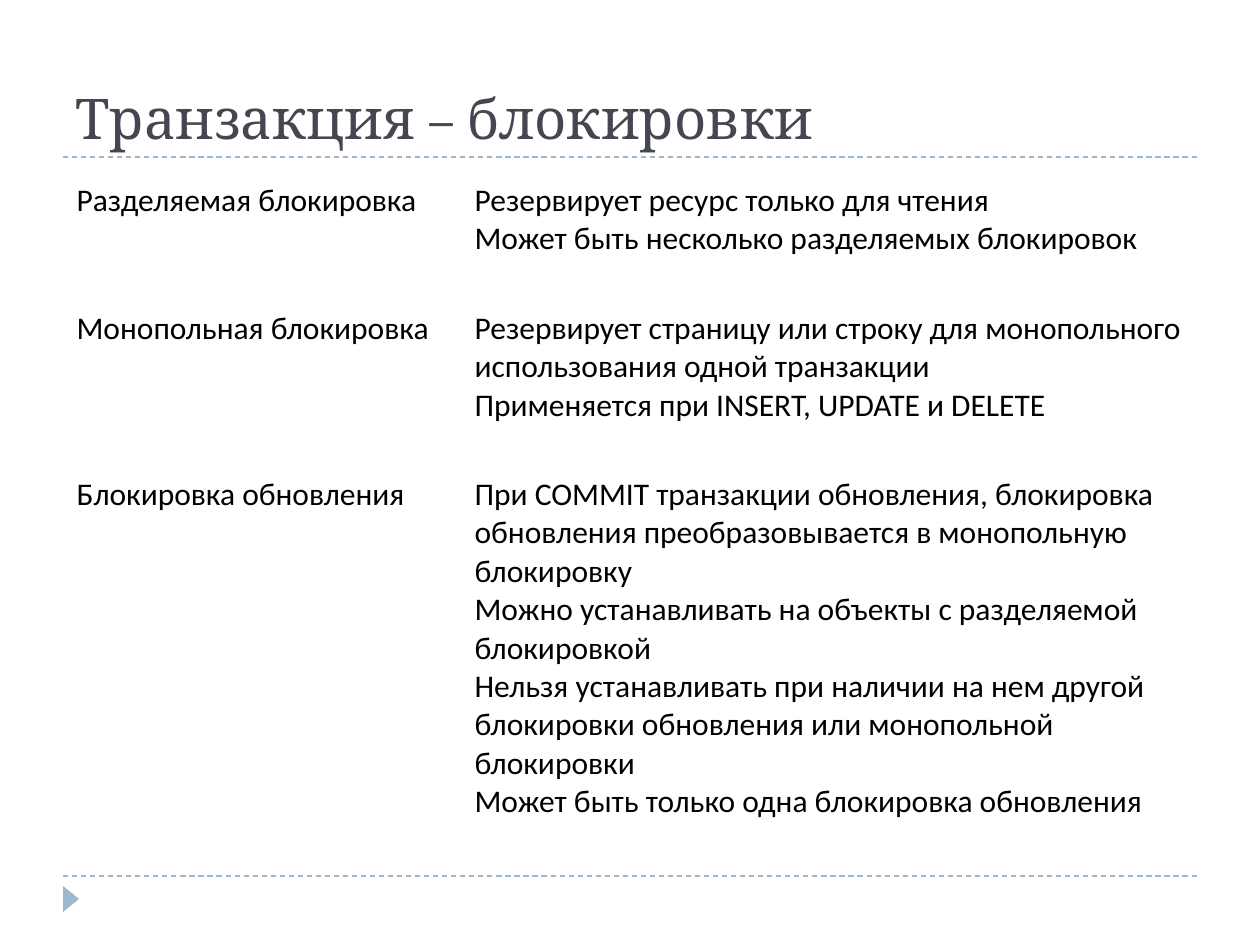
from dataclasses import dataclass

from lxml import etree
from pptx import Presentation
from pptx.dml.color import RGBColor
from pptx.enum import dml, shapes, text
from pptx.oxml.ns import qn
from pptx.util import Emu, Pt

PX_PER_INCH = 126
ACCENT, TITLE_COLOR, BODY_COLOR = "9FB8CD", "464653", "000000"


@dataclass
class LockRow:
    name: str
    notes: list[str]
    height: int


LOCKS = [
    LockRow("Разделяемая блокировка", [
        "Резервирует ресурс только для чтения",
        "Может быть несколько разделяемых блокировок",
    ], 128),
    LockRow("Монопольная блокировка", [
        "Резервирует страницу или строку для монопольного использования одной транзакции",
        "Применяется при INSERT, UPDATE и DELETE",
    ], 166),
    LockRow("Блокировка обновления", [
        "При COMMIT транзакции обновления, блокировка обновления преобразовывается в монопольную блокировку",
        "Можно устанавливать на объекты с разделяемой блокировкой",
        "Нельзя устанавливать при наличии на нем другой блокировки обновления или монопольной блокировки",
        "Может быть только одна блокировка обновления",
    ], 402),
]
COLUMN_WIDTHS = [398, 736]


def px(length: int) -> Emu:
    return Emu(round(length * 914400 / PX_PER_INCH))


def color(value: str) -> RGBColor:
    return RGBColor.from_string(value)


def write(text_frame, content: str, font: str, size: int, font_color: str) -> None:
    text_frame.text = content
    for paragraph in text_frame.paragraphs:
        for run in paragraph.runs:
            run.font.name = font
            run.font.size = Pt(size)
            run.font.color.rgb = color(font_color)


def draw_rule(slide, y: int) -> None:
    line = slide.shapes.add_connector(
        shapes.MSO_CONNECTOR.STRAIGHT, px(63), px(y), px(1197), px(y))
    line.line.color.rgb = color(ACCENT)
    line.line.width = Pt(0.75)
    line.line.dash_style = dml.MSO_LINE.DASH
    etree.SubElement(line._element.spPr, qn("a:effectLst"))


def draw_marker(slide) -> None:
    marker = slide.shapes.add_shape(
        shapes.MSO_SHAPE.ISOSCELES_TRIANGLE, px(58), px(891), px(26), px(16))
    marker.rotation = 90
    marker.shadow.inherit = False
    marker.fill.solid()
    marker.fill.fore_color.rgb = color(ACCENT)
    marker.line.fill.background()


def draw_title(slide, title: str) -> None:
    box = slide.shapes.add_textbox(px(63), px(21), px(1134), px(136))
    box.text_frame.word_wrap = True
    box.text_frame.vertical_anchor = text.MSO_ANCHOR.BOTTOM
    write(box.text_frame, title, "Cambria", 32, TITLE_COLOR)


def draw_table(slide, locks: list[LockRow]) -> None:
    table = slide.shapes.add_table(
        len(locks), len(COLUMN_WIDTHS), px(64), px(175),
        px(sum(COLUMN_WIDTHS)), px(sum(lock.height for lock in locks))).table
    table.first_row = table.horz_banding = False
    for column, width in zip(table.columns, COLUMN_WIDTHS):
        column.width = px(width)
    for row, lock in zip(table.rows, locks):
        row.height = px(lock.height)
        for cell, content in zip(row.cells, [lock.name, "\n".join(lock.notes)]):
            cell.fill.background()
            write(cell.text_frame, content, "Calibri", 18, BODY_COLOR)


def main() -> None:
    presentation = Presentation()
    presentation.slide_width, presentation.slide_height = px(1260), px(945)
    slide = presentation.slides.add_slide(presentation.slide_layouts[6])

    # Footer and title decoration
    for y in (876, 157):
        draw_rule(slide, y)
    draw_marker(slide)

    # Content
    draw_title(slide, "Транзакция – блокировки")
    draw_table(slide, LOCKS)
    presentation.save("out.pptx")


if __name__ == "__main__":
    main()
